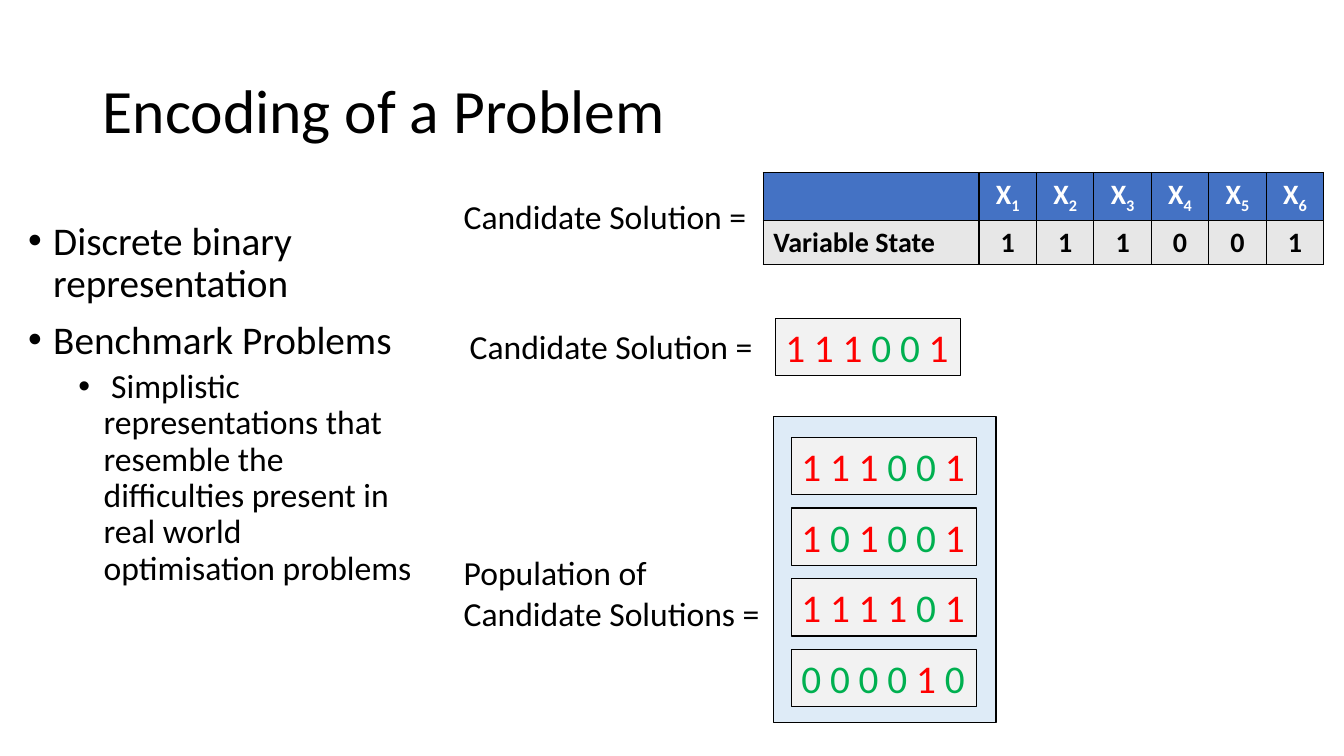
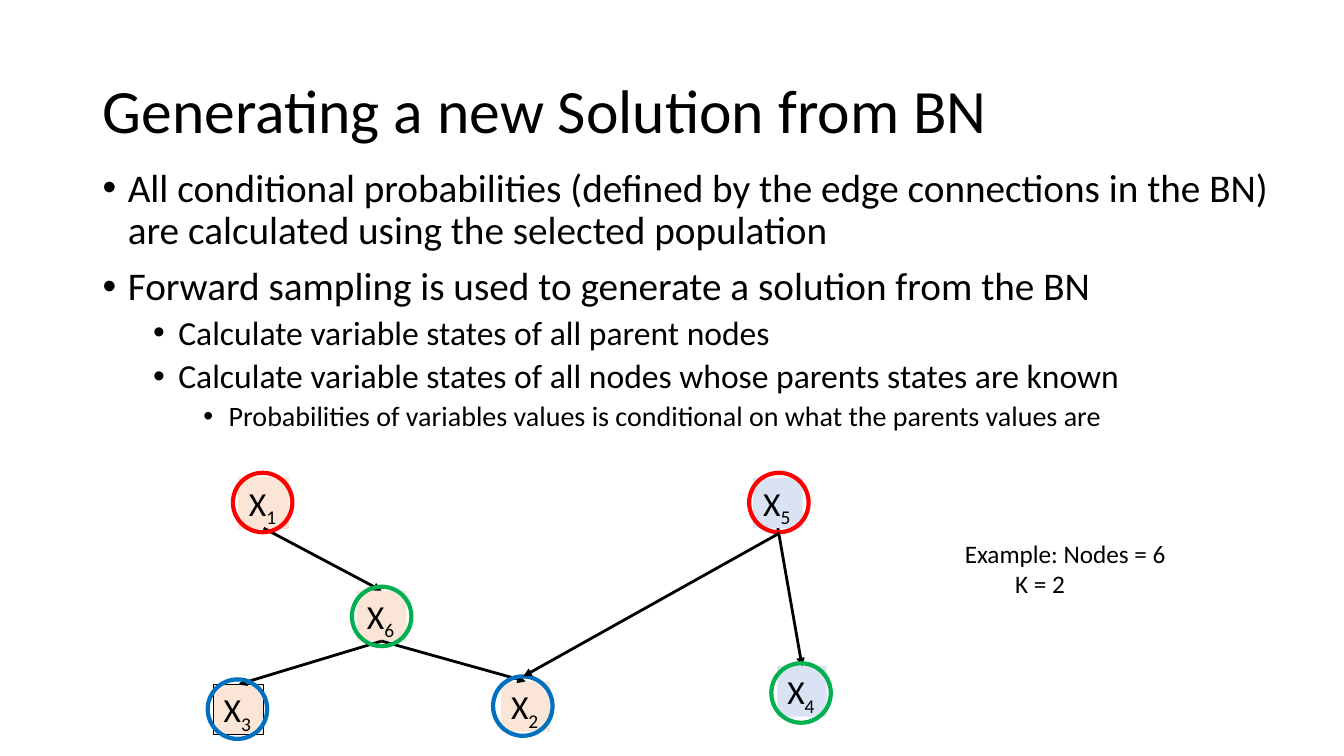
import pptx
import pptx.dml.color
import pptx.enum.shapes
import pptx.enum.text
import pptx.oxml
import pptx.oxml.ns
import pptx.util
from lxml import etree

RGBColor = pptx.dml.color.RGBColor
Pt = pptx.util.Pt
SHAPES = pptx.enum.shapes.MSO_SHAPE
ANCHOR = pptx.enum.text.MSO_ANCHOR
ALIGN = pptx.enum.text.PP_ALIGN
qn = pptx.oxml.ns.qn

PX = 9144  # EMU in one px, 100 px to the inch
BLACK = RGBColor(0x00, 0x00, 0x00)
WHITE = RGBColor(0xFF, 0xFF, 0xFF)
RED = RGBColor(0xFF, 0x00, 0x00)
GREEN = RGBColor(0x00, 0xB0, 0x50)
BLUE = RGBColor(0x00, 0x70, 0xC0)
HEADER_BLUE = RGBColor(0x44, 0x72, 0xC4)
PANEL_BLUE = RGBColor(0xDE, 0xEB, 0xF7)
LILAC = RGBColor(0xDA, 0xE3, 0xF3)
PEACH = RGBColor(0xFB, 0xE5, 0xD6)
ROW_GREY = RGBColor(0xE7, 0xE7, 0xE7)
BOX_GREY = RGBColor(0xF2, 0xF2, 0xF2)


def emu(*lengths):
    return [length * PX for length in lengths]


def set_formats(target, formats):
    for name, value in formats.items():
        setattr(target, name, value)


class Deck:
    """Holds the presentation, its style and the current slide."""

    FONT = "Calibri"
    BULLET_SIZES = (28, 24, 20)

    def __init__(self):
        self.presentation = pptx.Presentation()
        width, height = emu(1333, 750)
        set_formats(self.presentation,
                    {"slide_width": width, "slide_height": height})
        self.slide = None

    def add_slide(self, title):
        layout = self.presentation.slide_layouts[6]
        self.slide = self.presentation.slides.add_slide(layout)
        frame = self.text((92, 40, 1150, 145), [title], 44).text_frame
        frame.vertical_anchor = ANCHOR.MIDDLE
        frame.paragraphs[0].line_spacing = 0.9

    def runs(self, paragraph, content, size, color=BLACK, bold=False):
        """Content is a string or a list of (text, run options)."""
        if isinstance(content, str):
            content = [(content, {})]
        for words, options in content:
            run = paragraph.add_run()
            run.text = words
            set_formats(run.font, {"name": self.FONT, "size": Pt(size), "bold": bold})
            run.font.color.rgb = options.get("color", color)
            if options.get("subscript"):
                run._r.get_or_add_rPr().set("baseline", "-25000")

    def paint(self, shape, fill=None, line=None, weight=0.75):
        if fill is None:
            shape.fill.background()
        else:
            shape.fill.solid()
            shape.fill.fore_color.rgb = fill
        if line is None:
            shape.line.fill.background()
        else:
            shape.line.color.rgb = line
            shape.line.width = Pt(weight)

    def text(self, place, paragraphs, size, fill=None, line=None, wrap=True):
        shape = self.slide.shapes.add_textbox(*emu(*place))
        self.paint(shape, fill, line)
        frame = shape.text_frame
        set_formats(frame, {"word_wrap": wrap, "vertical_anchor": ANCHOR.TOP})
        for index, content in enumerate(paragraphs):
            paragraph = frame.add_paragraph() if index else frame.paragraphs[0]
            self.runs(paragraph, content, size)
        return shape

    def bullets(self, place, items):
        """Items are (level, text) pairs."""
        shape = self.text(place, [""] * len(items), 28)
        for paragraph, (level, words) in zip(shape.text_frame.paragraphs, items):
            paragraph.clear()
            self.runs(paragraph, words, self.BULLET_SIZES[level])
            set_formats(paragraph, {"level": level, "line_spacing": 0.9,
                                    "space_before": Pt(5 if level else 10)})
            properties = paragraph._p.get_or_add_pPr()
            properties.set("marL", str(25 * PX + 50 * PX * level))
            properties.set("indent", str(-25 * PX))
            font = etree.SubElement(properties, qn("a:buFont"))
            font.set("typeface", "Arial")
            etree.SubElement(properties, qn("a:buChar")).set("char", "•")

    def shape(self, kind, place, fill=None, line=None, weight=1):
        shape = self.slide.shapes.add_shape(kind, *emu(*place))
        shape.shadow.inherit = False
        self.paint(shape, fill, line, weight)
        return shape

    def bits(self, left, top, digits):
        """A boxed solution: ones in red, zeros in green."""
        last = len(digits) - 1
        content = [(digit if index == last else digit + " ",
                    {"color": RED if digit == "1" else GREEN})
                   for index, digit in enumerate(digits)]
        self.text((left, top, 184, 57), [content], 28, BOX_GREY, BLACK)

    def arrow(self, start, end, source=None, target=None):
        """Joins the bottom of source to the top of target when given."""
        connector = self.slide.shapes.add_connector(
            pptx.enum.shapes.MSO_CONNECTOR.STRAIGHT, *emu(*start, *end))
        if source is not None:
            connector.begin_connect(source, 2)
        if target is not None:
            connector.end_connect(target, 0)
        connector.line.color.rgb = BLACK
        connector.line.width = Pt(2)
        line = connector.line._get_or_add_ln()
        etree.SubElement(line, qn("a:tailEnd")).set("type", "triangle")
        etree.SubElement(connector._element.spPr, qn("a:effectLst"))

    def table(self, place, widths, rows, fills, colors, size):
        frame = self.slide.shapes.add_table(len(rows), len(widths), *emu(*place))
        table = frame.table
        for column, width in zip(table.columns, widths):
            column.width = width * PX
        for row_index, row in enumerate(rows):
            table.rows[row_index].height = 41 * PX
            for column_index, content in enumerate(row):
                cell = table.cell(row_index, column_index)
                self.borders(cell)
                cell.fill.solid()
                cell.fill.fore_color.rgb = fills[row_index]
                paragraph = cell.text_frame.paragraphs[0]
                paragraph.alignment = ALIGN.CENTER if column_index else ALIGN.LEFT
                self.runs(paragraph, content, size, colors[row_index], bold=True)

    def borders(self, cell):
        properties = cell._tc.get_or_add_tcPr()
        for side in ("a:lnL", "a:lnR", "a:lnT", "a:lnB"):
            line = etree.SubElement(properties, qn(side), w=str(Pt(1)))
            fill = etree.SubElement(line, qn("a:solidFill"))
            etree.SubElement(fill, qn("a:srgbClr"), val=str(BLACK))


def variable(number):
    return [("X", {}), (str(number), {"subscript": True})]


def encoding_slide(deck):
    deck.add_slide("Encoding of a Problem")
    deck.bullets((18, 215, 407, 476), [
        (0, "Discrete binary representation"),
        (0, "Benchmark Problems"),
        (1, " Simplistic representations that resemble the difficulties "
            "present in real world optimisation problems"),
    ])

    # One solution as a table and as a string of bits
    solution = "111001"
    header = [[]] + [variable(number) for number in range(1, 7)]
    deck.table((757, 171, 556, 82), [214] + [57] * 6,
               [header, ["Variable State", *solution]],
               [HEADER_BLUE, ROW_GREY], [WHITE, BLACK], 20)
    deck.bits(769, 316, solution)

    # Labels
    for place, label in (
        ((450, 189, 304, 50), "Candidate Solution ="),
        ((456, 318, 304, 50), "Candidate Solution ="),
        ((450, 543, 331, 91), "Population of Candidate Solutions ="),
    ):
        deck.text(place, [label], 24)

    # Population
    deck.shape(SHAPES.RECTANGLE, (767, 413, 221, 304), PANEL_BLUE, BLACK)
    for index, digits in enumerate((solution, "101001", "111101", "000010")):
        deck.bits(785, 434 + 70 * index, digits)


def sampling_slide(deck):
    deck.add_slide("Generating a new Solution from BN")
    deck.bullets((92, 162, 1184, 513), [
        (0, "All conditional probabilities (defined by the edge connections "
            "in the BN) are calculated using the selected population"),
        (0, "Forward sampling is used to generate a solution from the BN"),
        (1, "Calculate variable states of all parent nodes"),
        (1, "Calculate variable states of all nodes whose parents states are known"),
        (2, "Probabilities of variables values is conditional on what the "
            "parents values are"),
    ])

    # Network nodes: label corner, fill, outline, ring corner, ring colour
    nodes = {
        3: ((212, 679), PEACH, BLACK, (206, 674), BLUE),
        6: ((354, 586), PEACH, None, (349, 582), GREEN),
        2: ((497, 676), PEACH, None, (489, 671), BLUE),
        5: ((747, 474), LILAC, None, (743, 469), RED),
        4: ((771, 661), LILAC, None, (765, 658), GREEN),
        1: ((237, 474), PEACH, PEACH, (231, 469), RED),
    }
    labels = {
        number: deck.text((*corner, 49, 50), [variable(number)], 24,
                          fill, outline, wrap=False)
        for number, (corner, fill, outline, _, _) in nodes.items()
    }

    # Edges between labels, then the rings over them
    for parent, child in ((1, 6), (6, 2), (5, 4), (6, 3)):
        deck.arrow((0, 0), (0, 0), labels[parent], labels[child])
    for _, _, _, corner, color in nodes.values():
        deck.shape(SHAPES.OVAL, (*corner, 59, 59), line=color, weight=3)
    deck.arrow((773, 529), (519, 671))

    # Example sizes
    deck.text((947, 529, 222, 71), ["Example: Nodes = 6", "\tK = 2"], 18, wrap=False)


def main():
    deck = Deck()
    encoding_slide(deck)
    sampling_slide(deck)
    deck.presentation.save("out.pptx")


if __name__ == "__main__":
    main()
